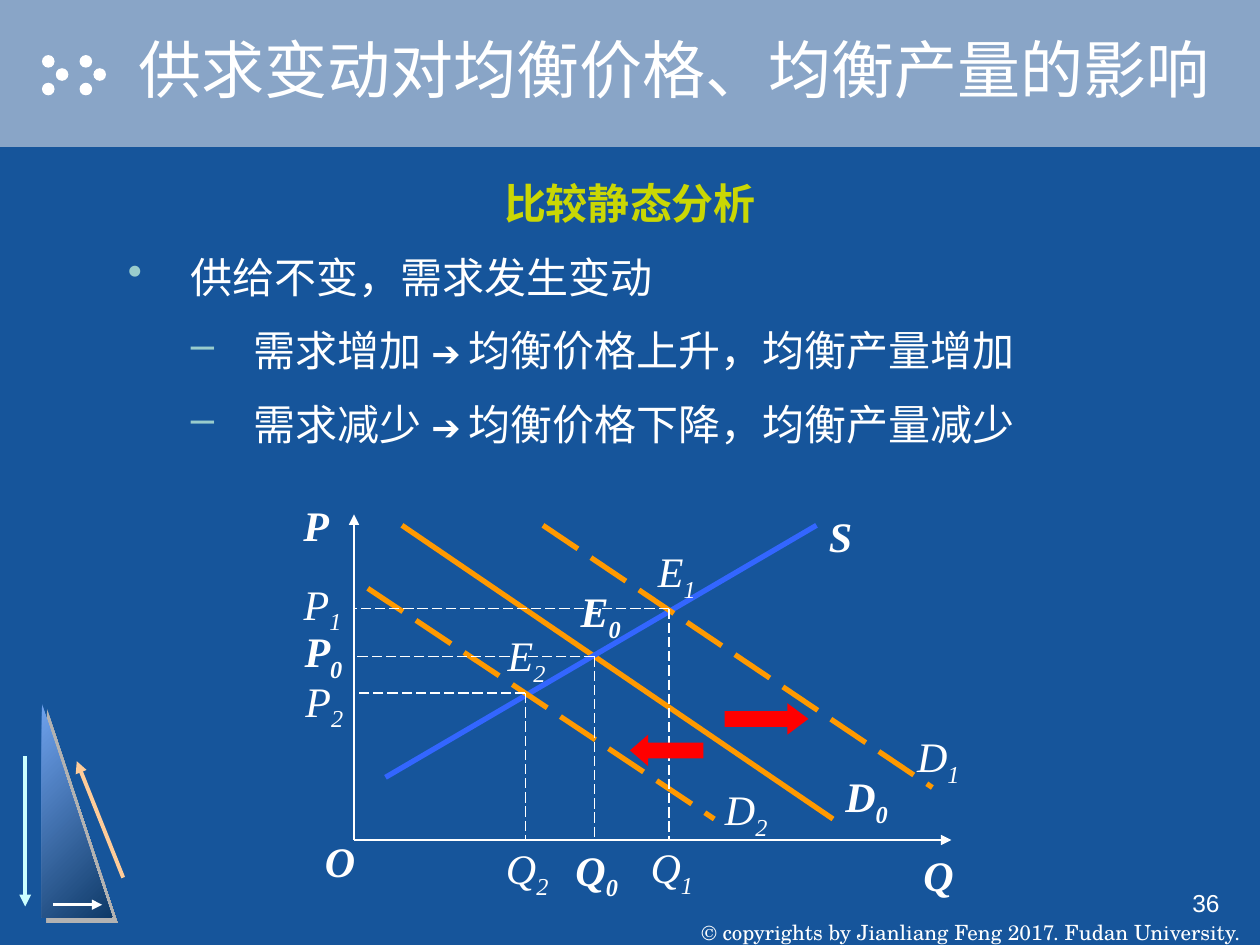
import pptx
import pptx.dml.color
import pptx.enum.dml
import pptx.enum.shapes
import pptx.enum.text
import pptx.oxml.ns
import pptx.util
from lxml import etree

Pt = pptx.util.Pt
RGB = pptx.dml.color.RGBColor
SHAPE = pptx.enum.shapes.MSO_SHAPE
ALIGN = pptx.enum.text.PP_ALIGN
ANCHOR = pptx.enum.text.MSO_ANCHOR
qn = pptx.oxml.ns.qn

BLUE = RGB(0x16, 0x55, 0x9B)
BAND = RGB(0x89, 0xA5, 0xC7)
WHITE = RGB(0xFF, 0xFF, 0xFF)
BLACK = RGB(0x00, 0x00, 0x00)
GRAY = RGB(0xB2, 0xB2, 0xB2)
SKY = RGB(0x6F, 0xA2, 0xED)
NAVY = RGB(0x0F, 0x3A, 0x68)
AQUA = RGB(0xCC, 0xFF, 0xFF)
PEACH = RGB(0xFF, 0xCC, 0x99)
LIME = RGB(0xCA, 0xD7, 0x04)
TEAL = RGB(0x99, 0xCC, 0xCC)
ORANGE = RGB(0xFF, 0x99, 0x00)
COBALT = RGB(0x33, 0x66, 0xFF)
RED = RGB(0xFF, 0x00, 0x00)
CJK = "Noto Sans CJK SC"
ROMAN = "Times New Roman"


def add_node(parent, tag, **attrs):
    """Append an XML child and return it."""
    return etree.SubElement(parent, qn(tag), **attrs)


def add_shade(parent, color, dist):
    """Add a hard shadow cast to the lower right."""
    glow = add_node(parent, "a:effectLst")
    outer = add_node(glow, "a:outerShdw", dist=str(Pt(dist)), dir="2700000", algn="ctr", rotWithShape="0")
    add_node(outer, "a:srgbClr", val=str(color))
    return glow


def add_run(para, text, size=24, font=ROMAN, color=WHITE, bold=False, slant=False, sub=False):
    """Add one formatted run to a paragraph."""
    run = para.add_run()
    run.text = text
    face = run.font
    face.size, face.bold, face.italic = Pt(size), bold, slant
    face.color.rgb = color
    face.name = font
    props = run._r.get_or_add_rPr()
    east = etree.Element(qn("a:ea"), typeface=CJK)
    props.find(qn("a:latin")).addnext(east)
    if sub:
        props.set("baseline", "-25000")
    return run


def add_frame(slide, box, wrap=True, anchor=ANCHOR.TOP, pad=3.6):
    """Add an empty text box and return its frame."""
    frame = slide.shapes.add_textbox(*map(Pt, box)).text_frame
    frame.word_wrap = wrap
    frame.vertical_anchor = anchor
    frame.margin_left = frame.margin_right = Pt(7.2)
    frame.margin_top = frame.margin_bottom = Pt(pad)
    return frame


def add_text(slide, text, box, align=ALIGN.LEFT, wrap=True, anchor=ANCHOR.TOP, pad=3.6, **style):
    """Add a one-line text box and return its run."""
    para = add_frame(slide, box, wrap, anchor, pad).paragraphs[0]
    para.alignment = align
    return add_run(para, text, **style)


def add_form(slide, kind, box, color):
    """Add a plain filled shape."""
    form = slide.shapes.add_shape(kind, *map(Pt, box))
    form.shadow.inherit = False
    form.line.fill.background()
    form.fill.solid()
    form.fill.fore_color.rgb = color
    return form


def add_line(slide, start, end, color=WHITE, width=0.75, dash=False, arrow=False):
    """Add a straight line, with an arrowhead at its end if asked."""
    line = slide.shapes.add_connector(
        pptx.enum.shapes.MSO_CONNECTOR.STRAIGHT, *map(Pt, (*start, *end)))
    line.line.color.rgb = color
    line.line.width = Pt(width)
    if dash:
        line.line.dash_style = pptx.enum.dml.MSO_LINE.LONG_DASH
    if arrow:
        add_node(line.line._get_or_add_ln(), "a:tailEnd", type="triangle")
    add_node(line._element.spPr, "a:effectLst")


def draw_head(slide, left, top, width, height):
    """Draw the title band with its dots."""
    add_form(slide, SHAPE.RECTANGLE, (left, top, width, height), BAND)
    for group in (24, 45.5):
        for x, y in ((0, 31.5), (7.9, 39), (0, 47.3)):
            add_form(slide, SHAPE.OVAL, (left + group + x, top + y, 7.2, 7.2), WHITE)
    run = add_text(slide, "供求变动对均衡价格、均衡产量的影响",
                   (left + 72, top, width - 72, 78), anchor=ANCHOR.MIDDLE, size=36, font="Arial")
    props = run._r.get_or_add_rPr()
    props.find(qn("a:solidFill")).addnext(add_shade(props, BLACK, 1.5))


def draw_body(slide, left, top, width, height):
    """Write the heading and its bullet list."""
    frame = add_frame(slide, (left, top, width, height))
    para = frame.paragraphs[0]
    para.alignment = ALIGN.CENTER
    add_run(para, "比较静态分析", font=CJK, color=LIME, bold=True)
    items = (
        (0, "•", ("供给不变，需求发生变动",)),
        (1, "–", ("需求增加 ", "➔ ", "均衡价格上升，均衡产量增加")),
        (1, "–", ("需求减少 ", "➔ ", "均衡价格下降，均衡产量减少")),
    )
    for level, mark, parts in items:
        para = frame.add_paragraph()
        para.level = level
        para.alignment = ALIGN.JUSTIFY
        para.space_before = Pt(13.25)
        props = para._p.get_or_add_pPr()
        props.set("marL", str(Pt(36 * (level + 1))))
        props.set("indent", str(-Pt(36)))
        add_node(add_node(props, "a:buClr"), "a:srgbClr", val=str(TEAL))
        add_node(props, "a:buChar", char=mark)
        for part in parts:
            style = {"size": 20, "font": "Arial"} if part == "➔ " else {}
            add_run(para, part, **style)


def draw_badge(slide, left, top, width, height):
    """Draw the corner triangle and its three arrows."""
    form = add_form(slide, SHAPE.RIGHT_TRIANGLE, (left + 9.5, top, width, height), SKY)
    form.fill.gradient()
    form.fill.gradient_angle = 315
    for stop, color, place in zip(form.fill.gradient_stops, (SKY, NAVY), (0, 1)):
        stop.color.rgb = color
        stop.position = place
    props = form._element.spPr
    props.remove(props.find(qn("a:effectLst")))
    add_shade(props, GRAY, 4.2)
    for start, end, color, weight in (
        ((0, 30), (0, 116), AQUA, 2.25),
        ((56, 99.5), (29.5, 33), PEACH, 2.25),
        ((16, 115), (44, 115), WHITE, 1.5),
    ):
        add_line(slide, (left + start[0], top + start[1]), (left + end[0], top + end[1]),
                 color, weight, arrow=True)


def draw_graph(slide, left, top, width, height):
    """Draw the supply and demand graph."""
    def move(x, y):
        return left + x, top + y

    zero = 42.3
    base = height - 40
    add_line(slide, move(zero, base), move(zero, 14), arrow=True)
    add_line(slide, move(zero, base), move(width, base), arrow=True)
    for start, end, color, dash in (
        ((69.7, 20.2), (316, 188), ORANGE, False),
        ((60.3, 164.2), (306.6, 20.2), COBALT, False),
        ((150.3, 20.2), (372.8, 170), ORANGE, True),
        ((50.2, 56.2), (248.2, 188), ORANGE, True),
    ):
        add_line(slide, move(*start), move(*end), color, 3, dash)
    for x, y in ((179.8, 95.1), (222.3, 67.8), (140.2, 116)):
        add_line(slide, move(x, y), move(x, base), dash=True)
        add_line(slide, move(x, y), move(zero, y), dash=True)
    for kind, x, y, span, point in ((SHAPE.RIGHT_ARROW, 254, 121.8, 48, 0.67),
                                    (SHAPE.LEFT_ARROW, 200, 139.8, 42, 0.58)):
        form = add_form(slide, kind, (*move(x, y), span, 18), RED)
        form.adjustments[1] = point
    for name, x, y, span, wrap in (
        ("S", 306.6, 8, 36, True), ("D0", 316, 157, 42, True),
        ("E0", 164.7, 51.2, 37.4, False), ("O", 18.6, 193.8, 31.7, False),
        ("Q", 360.6, 201.7, 36, True), ("Q0", 161.8, 198.8, 40.3, True),
        ("P", 6.3, 2.2, 36, True), ("P0", 7, 74.2, 36, False),
        ("D1", 357, 134, 39, False), ("E1", 205.8, 28.2, 42, True),
        ("P1", 3.4, 46.9, 42, True), ("Q1", 202.9, 197.4, 42, True),
        ("E2", 123, 76.4, 36, False), ("P2", 1.3, 102.3, 48.2, True),
        ("Q2", 117.2, 198, 48.2, True), ("D2", 245.4, 164.2, 42, True),
    ):
        moved = name[1:] in ("1", "2")
        style = {"bold": not moved, "slant": True}
        align = ALIGN.CENTER if moved and wrap else ALIGN.LEFT
        tall = 40.3 if name[1:] else 36
        run = add_text(slide, name[0], (*move(x, y), span, tall), align, wrap, **style)
        if name[1:]:
            para = slide.shapes[-1].text_frame.paragraphs[0]
            add_run(para, name[1:], sub=True, **style)


def draw_foot(slide, left, top, width, height):
    """Write the page number and the copyright line."""
    add_text(slide, "© copyrights by Jianliang Feng 2017. Fudan University.",
             (left, top, width, height), ALIGN.CENTER, False, ANCHOR.BOTTOM, 0,
             size=12, font="TeX Gyre Schola")
    add_text(slide, "36", (left + 168, top, width - 184, height), ALIGN.RIGHT, size=14, font="Arial")


def main():
    """Build the slide and save it."""
    deck = pptx.Presentation()
    deck.slide_width, deck.slide_height = Pt(720), Pt(540)
    slide = deck.slides.add_slide(deck.slide_layouts[6])
    slide.background.fill.solid()
    slide.background.fill.fore_color.rgb = BLUE
    draw_head(slide, 0, 0, 720, 84)
    draw_badge(slide, 14.4, 402, 40.3, 122.4)
    draw_foot(slide, 390, 504, 330, 36)
    draw_body(slide, 66, 98, 588, 198)
    draw_graph(slide, 160, 280, 383.6, 240)
    deck.save("out.pptx")


if __name__ == "__main__":
    main()
